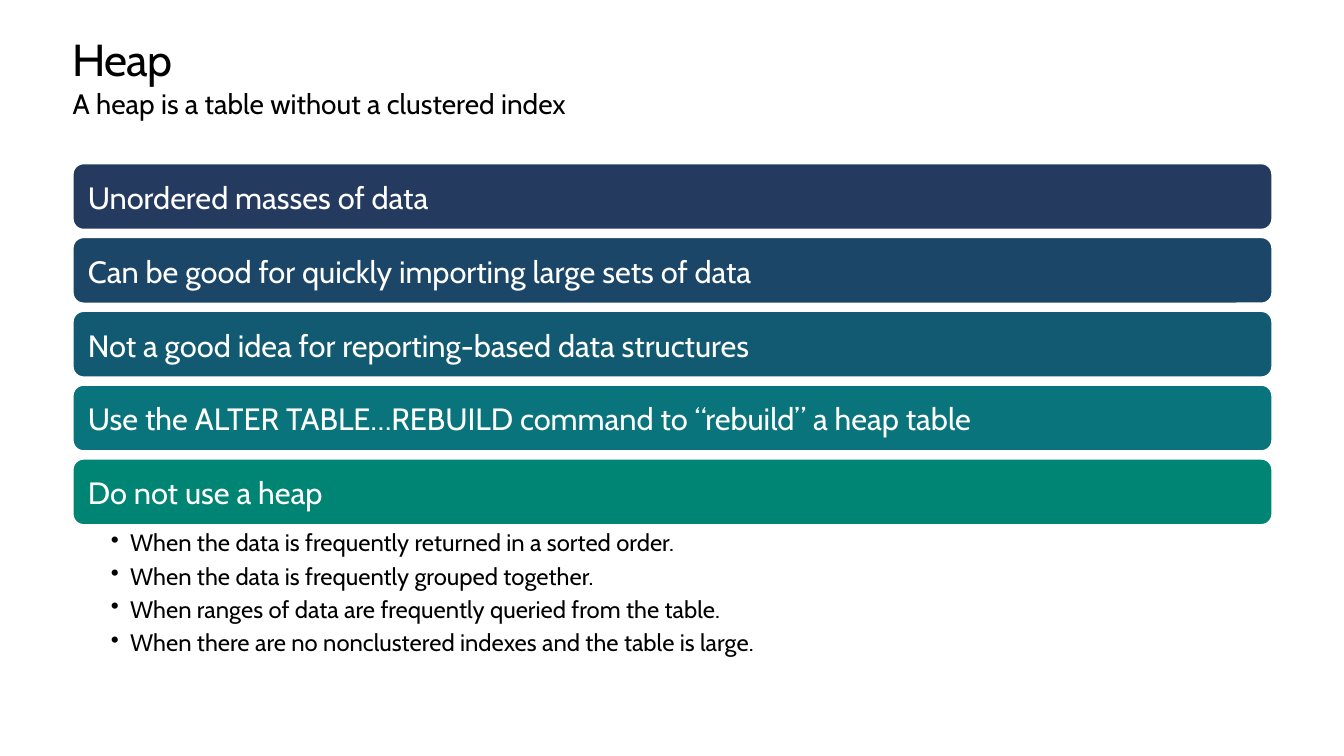
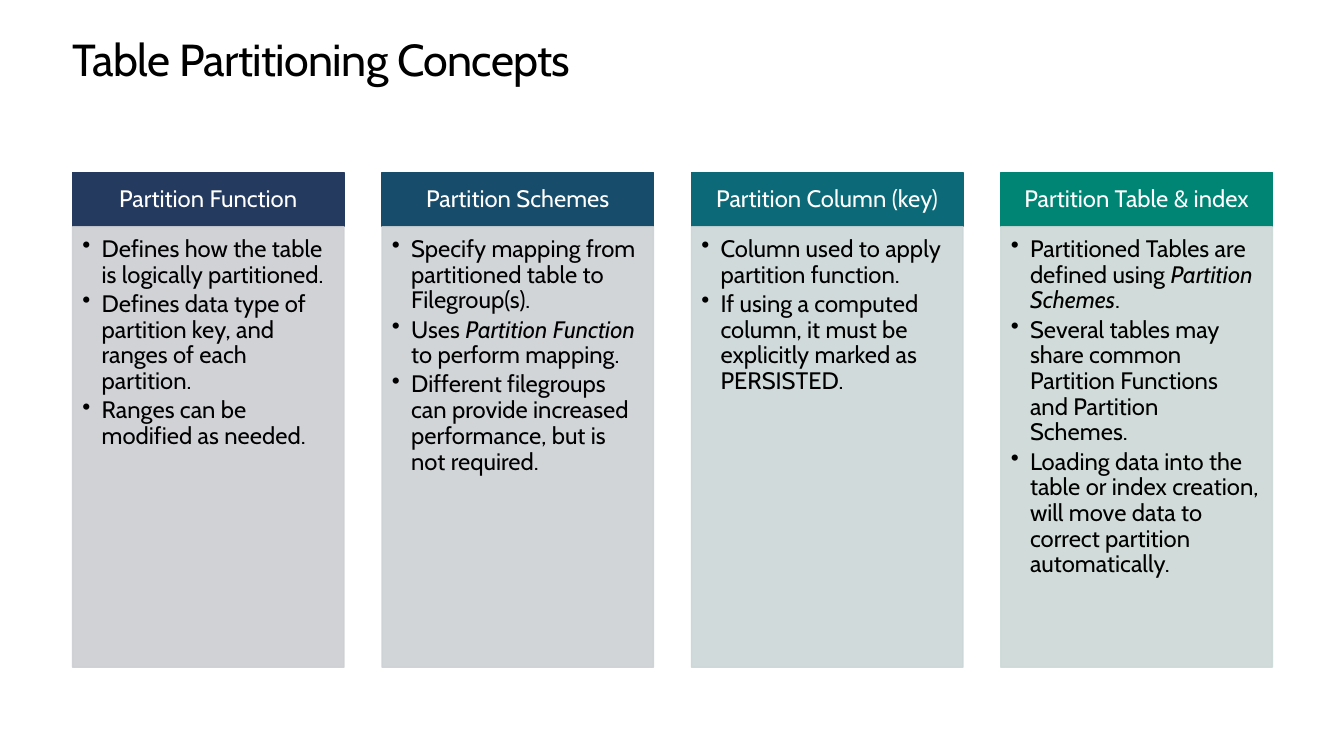
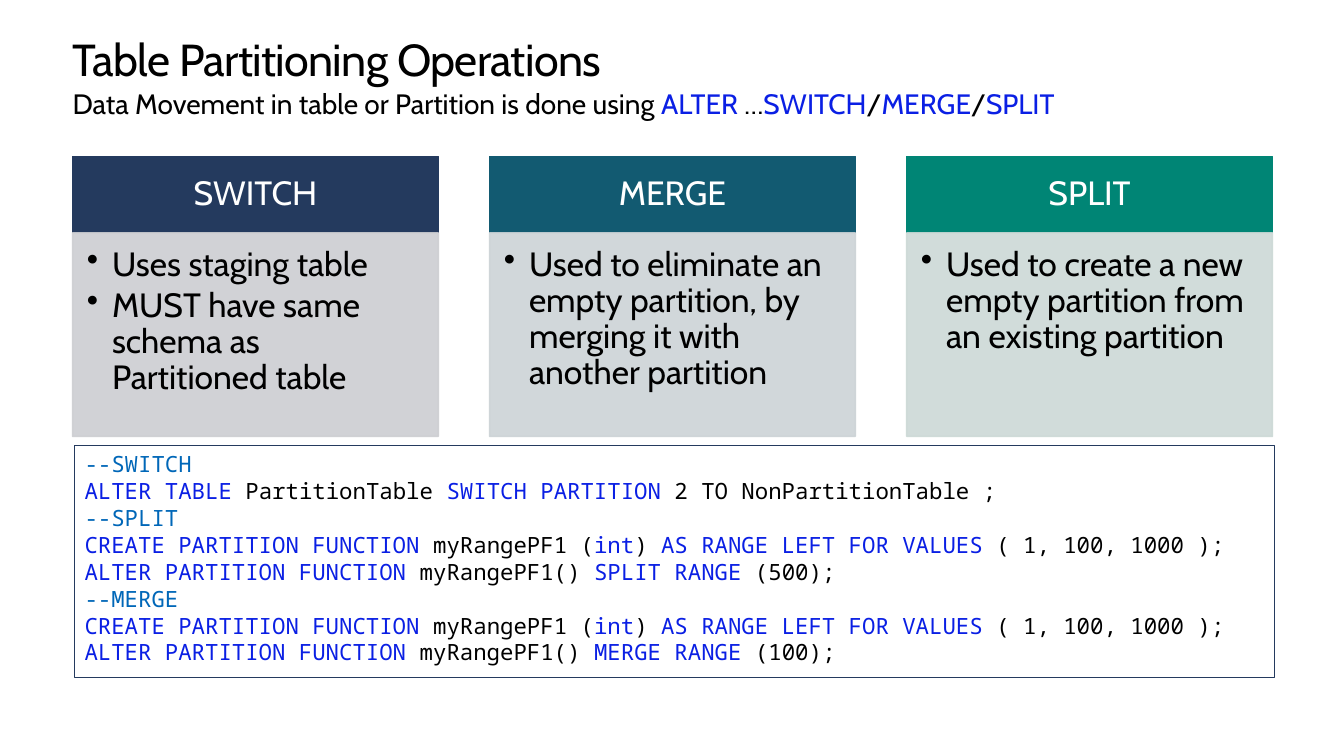
import pptx
import pptx.dml.color
import pptx.enum.shapes
import pptx.enum.text
import pptx.oxml
import pptx.oxml.ns
import pptx.util

Inches, Pt = pptx.util.Inches, pptx.util.Pt
SHAPE = pptx.enum.shapes.MSO_SHAPE
ALIGN = pptx.enum.text.PP_ALIGN
ANCHOR = pptx.enum.text.MSO_ANCHOR

SANS, MONO = "Cabin", "Noto Sans Mono"
BLACK, WHITE = "000000", "FFFFFF"
NAVY, OCEAN, GREEN = "243A5E", "125A71", "008575"
BLUE, NOTE = "0A1FE4", "0067B8"
LEFT, WIDTH = 0.72, 11.9

BARS = [
    ("Unordered masses of data", NAVY),
    ("Can be good for quickly importing large sets of data", "1B4668"),
    ("Not a good idea for reporting-based data structures", OCEAN),
    ("Use the ALTER TABLE…REBUILD command to “rebuild” a heap table", "09747B"),
    ("Do not use a heap", GREEN),
]
AVOID = [
    "When the data is frequently returned in a sorted order.",
    "When the data is frequently grouped together.",
    "When ranges of data are frequently queried from the table.",
    "When there are no nonclustered indexes and the table is large.",
]
# Text between asterisks takes the accent format of its box.
CONCEPTS = [
    ("Partition Function", NAVY, "CDCED2", [
        "Defines how the table is logically partitioned.",
        "Defines data type of partition key, and ranges of each partition.",
        "Ranges can be modified as needed."]),
    ("Partition Schemes", "184C6B", "CCD1D4", [
        "Specify mapping from partitioned table to Filegroup(s).",
        "Uses *Partition Function *to perform mapping.",
        "Different filegroups can provide increased performance, but is not required."]),
    ("Partition Column (key)", "0C6A78", "CCD6D7", [
        "Column used to apply partition function.",
        "If using a computed column, it must be explicitly marked as PERSISTED."]),
    ("Partition Table & index", GREEN, "CCD9D6", [
        "Partitioned Tables are defined using *Partition Schemes*.",
        "Several tables may share common Partition Functions and Partition Schemes.",
        "Loading data into the table or index creation, will move data to correct "
        "partition automatically."]),
]
ACTIONS = [
    ("SWITCH", NAVY, "CDCED2", [
        "Uses staging table",
        "MUST have same schema as Partitioned table"]),
    ("MERGE", OCEAN, "CCD3D6", [
        "Used to eliminate an empty partition, by merging it with another partition"]),
    ("SPLIT", GREEN, "CCD9D6", [
        "Used to create a new empty partition from an existing partition"]),
]
CREATE = ("*CREATE PARTITION FUNCTION *myRangePF1 (*int*) "
          "*AS RANGE LEFT FOR VALUES *( 1, 100, 1000 );")
CODE = [
    "--SWITCH",
    "*ALTER TABLE *PartitionTable *SWITCH PARTITION* 2 TO NonPartitionTable ;",
    "--SPLIT",
    CREATE,
    "*ALTER PARTITION FUNCTION *myRangePF1() *SPLIT RANGE* (500);",
    "--MERGE",
    CREATE,
    "*ALTER PARTITION FUNCTION *myRangePF1() *MERGE RANGE *(100);",
]


def rgb(code):
    return pptx.dml.color.RGBColor.from_string(code)


def assign(item, values):
    for name, value in values.items():
        setattr(item, name, value)


def fade(paint, alpha):
    """Make a solid fill partly transparent; alpha is a percentage."""
    tint = paint.fore_color._xFill[0]
    node = pptx.oxml.parse_xml(
        f'<a:alpha {pptx.oxml.ns.nsdecls("a")} val="{alpha * 1000}"/>')
    tint.append(node)


def panel(slide, box, kind=SHAPE.RECTANGLE, fill=None, line=None, weight=1, alpha=None):
    shape = slide.shapes.add_shape(kind, *map(Inches, box))
    shape.shadow.inherit = False
    if fill:
        shape.fill.solid()
        shape.fill.fore_color.rgb = rgb(fill)
    else:
        shape.fill.background()
    shape.line.color.rgb = rgb(line or fill)
    shape.line.width = Pt(weight)
    if alpha:
        fade(shape.fill, alpha)
        fade(shape.line.fill, alpha)
    return shape


def label(slide, box):
    return slide.shapes.add_textbox(*map(Inches, box))


def bullet(para, indent):
    props = para._p.get_or_add_pPr()
    props.set("marL", str(Inches(indent)))
    props.set("indent", str(-Inches(indent)))
    props.append(pptx.oxml.parse_xml(
        f'<a:buChar {pptx.oxml.ns.nsdecls("a")} char="•"/>'))


def write(shape, lines, size, color=BLACK, face=SANS, pads=(0, 0, 0, 0),
          anchor=ANCHOR.TOP, indent=0, accent=None, track=0, **layout):
    """Fill a shape with paragraphs; accent formats the text between asterisks."""
    frame = shape.text_frame
    sides = ("margin_left", "margin_top", "margin_right", "margin_bottom")
    assign(frame, {"word_wrap": True, "vertical_anchor": anchor,
                   **dict(zip(sides, map(Inches, pads)))})
    for row, line in enumerate(lines):
        para = frame.paragraphs[0] if row == 0 else frame.add_paragraph()
        if indent:
            bullet(para, indent)
        assign(para, {"alignment": ALIGN.LEFT, **layout})
        for turn, part in enumerate(line.split("*")):
            if not part:
                continue
            style = {"color": color, **(accent or {})} if turn % 2 else {"color": color}
            tone = NOTE if part.startswith("--") else style.pop("color")
            style.pop("color", None)
            run = para.add_run()
            run.text = part
            assign(run.font, {"name": face, "size": Pt(size), **style})
            run.font.color.rgb = rgb(tone)
            if track:
                run._r.get_or_add_rPr().set("spc", str(int(track * 100)))


def header(slide, title, lead=None):
    write(label(slide, (LEFT, 0.35, WIDTH, 0.5)), [title], 32, track=-0.5,
          line_spacing=Pt(36.2))
    if lead:
        write(label(slide, (LEFT, 0.86, WIDTH, 0.5)), [lead], 20,
              accent={"color": BLUE})


def stack(slide, box, bars, tall=0.66):
    """Spread equal bars from the top of the box to its foot."""
    left, top, width, height = box
    step = (height - tall) / (len(bars) - 1)
    for row, (text, fill) in enumerate(bars):
        bar = panel(slide, (left, top + row * step, width, tall),
                    SHAPE.ROUNDED_RECTANGLE, fill, WHITE, 1.5)
        write(bar, [text], 22, WHITE, pads=(0.12, 0.09, 0.12, 0.08),
              anchor=ANCHOR.MIDDLE)


def cards(slide, box, head, size, indent, items):
    """Set headed columns side by side, with gaps of 14% of a column."""
    left, top, total, height = box
    width = total / (len(items) + 0.14 * (len(items) - 1))
    scale = size / 17
    for col, (name, dark, pale, points) in enumerate(items):
        x = left + col * width * 1.14
        cap = panel(slide, (x, top, width, head), fill=dark)
        write(cap, [name], size, WHITE, anchor=ANCHOR.MIDDLE,
              pads=[scale * pad for pad in (0.13, 0.08, 0.13, 0.08)],
              alignment=ALIGN.CENTER, line_spacing=0.9)
        body = panel(slide, (x, top + head, width, height - head), fill=pale, alpha=90)
        write(body, points, size, indent=indent, accent={"italic": True},
              pads=[scale * pad for pad in (0.1, 0.1, 0.13, 0.15)],
              line_spacing=0.9, space_after=Pt(round(0.15 * size, 1)))


def listing(slide, box, lines):
    write(panel(slide, box, line=NAVY, weight=0.75), lines, 16, face=MONO,
          pads=(0.1, 0.05, 0.1, 0.05), accent={"color": BLUE},
          line_spacing=Pt(19.2))


def heap(slide):
    header(slide, "Heap", "A heap is a table without a clustered index")
    stack(slide, (LEFT, 1.62, WIDTH, 3.59), BARS)
    write(label(slide, (LEFT, 5.21, WIDTH, 1.52)), AVOID, 17, indent=0.19,
          pads=(0.38, 0.03, 0.17, 0.03), space_after=Pt(3.4))


def concepts(slide):
    header(slide, "Table Partitioning Concepts")
    cards(slide, (LEFT, 1.71, WIDTH, 4.91), 0.54, 17, 0.19, CONCEPTS)


def actions(slide):
    header(slide, "Table Partitioning Operations",
           "Data Movement in table or Partition is done using "
           "*ALTER* …*SWITCH*/*MERGE*/*SPLIT*")
    cards(slide, (LEFT, 1.55, WIDTH, 2.78), 0.76, 24, 0.25, ACTIONS)
    listing(slide, (0.74, 4.42, WIDTH, 2.3), CODE)


def main():
    deck = pptx.Presentation()
    assign(deck, {"slide_width": Inches(13.33), "slide_height": Inches(7.5)})
    for build in (heap, concepts, actions):
        build(deck.slides.add_slide(deck.slide_layouts[6]))
    deck.save("out.pptx")


if __name__ == "__main__":
    main()
